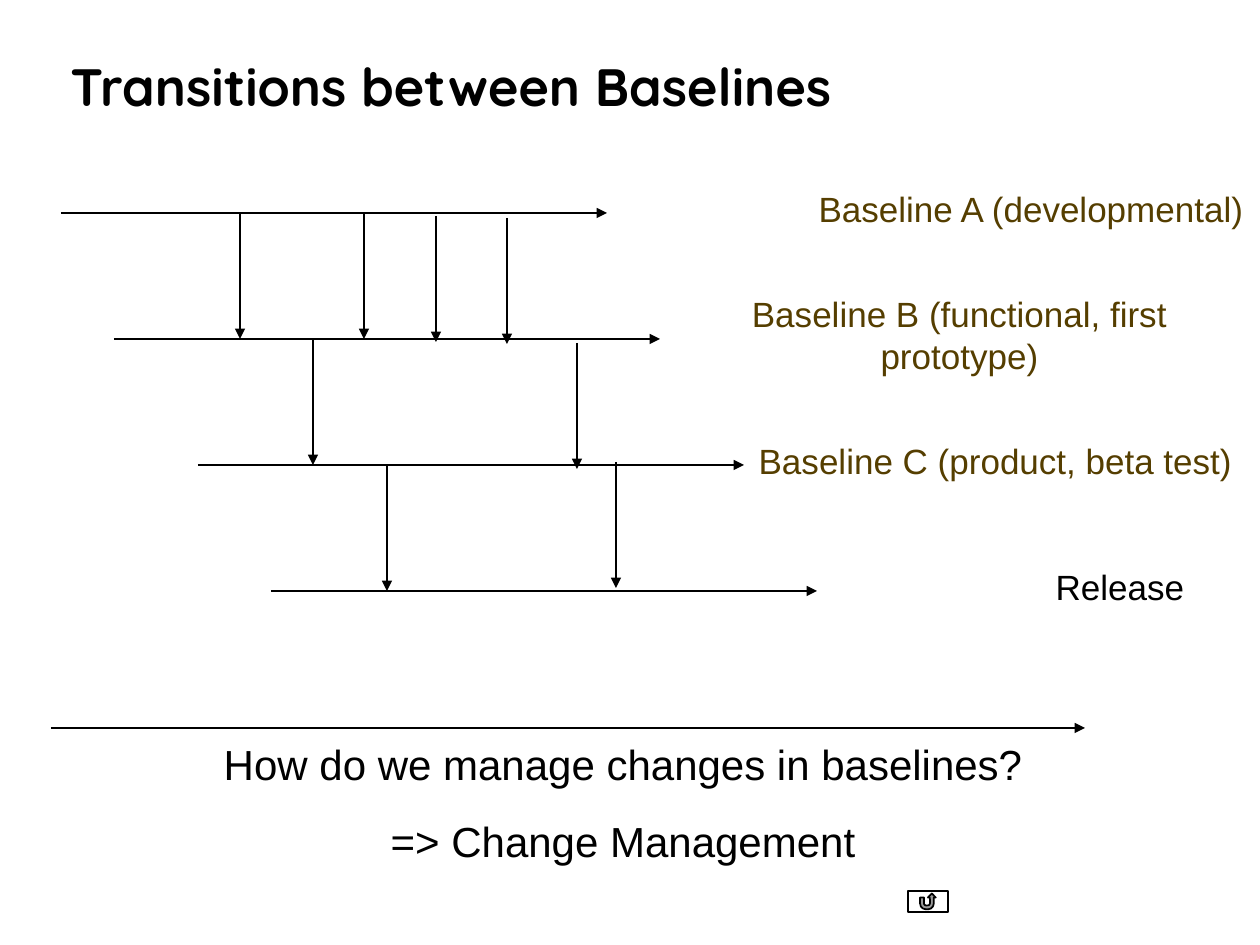
from dataclasses import dataclass

from lxml.etree import SubElement
from pptx import Presentation
from pptx.dml.color import RGBColor
from pptx.enum.shapes import MSO_CONNECTOR, MSO_SHAPE
from pptx.enum.text import MSO_ANCHOR, PP_ALIGN
from pptx.oxml.ns import qn
from pptx.slide import Slide
from pptx.util import Emu, Pt

BLACK = RGBColor(0x00, 0x00, 0x00)
WHITE = RGBColor(0xFF, 0xFF, 0xFF)
BROWN = RGBColor(0x55, 0x3E, 0x00)

PX_PER_INCH = 126
STEP = 126            # distance from one baseline to the next
FIRST_Y = 213         # height of the first baseline
BASELINE_LENGTH = 546
LABEL_HEIGHT = 55
LABEL_RISE = 32       # label top above its baseline


def px(length):
    return Emu(round(length * 914400 / PX_PER_INCH))


def write(frame, text, *, font="Arial", size=20, color=BLACK, bold=False,
          align=PP_ALIGN.CENTER, gap=0, spacing=None):
    """Fill a text frame, one paragraph for each line of text."""
    for number, line in enumerate(text.split("\n")):
        paragraph = frame.add_paragraph() if number else frame.paragraphs[0]
        paragraph.alignment = align
        if number:
            paragraph.space_before = Pt(gap)
        if spacing:
            paragraph.line_spacing = spacing
        run = paragraph.add_run()
        run.text = line
        run.font.name = font
        run.font.size = Pt(size)
        run.font.bold = bold
        run.font.color.rgb = color


@dataclass
class Diagram:
    slide: Slide
    line_color: RGBColor = BLACK
    line_width: int = 1

    def text(self, left, top, width, height, text, wrap=True, **style):
        box = self.slide.shapes.add_textbox(*map(px, (left, top, width, height)))
        frame = box.text_frame
        frame.word_wrap = wrap
        frame.vertical_anchor = MSO_ANCHOR.MIDDLE
        write(frame, text, **style)

    def arrow(self, left, top, right=0, down=0):
        arrow = self.slide.shapes.add_connector(
            MSO_CONNECTOR.STRAIGHT,
            px(left), px(top), px(left + right), px(top + down))
        arrow.line.color.rgb = self.line_color
        arrow.line.width = Pt(self.line_width)
        properties = arrow.line._get_or_add_ln()
        SubElement(properties, qn("a:tailEnd"), type="triangle")
        SubElement(properties.getparent(), qn("a:effectLst"))

    def return_button(self, left, top, width, height):
        button = self.slide.shapes.add_shape(
            MSO_SHAPE.ACTION_BUTTON_RETURN, *map(px, (left, top, width, height)))
        button.shadow.inherit = False
        button.fill.solid()
        button.fill.fore_color.rgb = WHITE
        button.line.color.rgb = self.line_color
        button.line.width = Pt(self.line_width)


def main():
    presentation = Presentation()
    presentation.slide_width = px(1260)
    presentation.slide_height = px(945)
    diagram = Diagram(presentation.slides.add_slide(presentation.slide_layouts[6]))

    diagram.return_button(908, 891, 40, 21)

    # Title
    diagram.text(58, 30, 1124, 118, "Transitions between Baselines",
                 font="Quicksand", size=30, bold=True,
                 align=PP_ALIGN.LEFT, spacing=0.9)

    # Baselines: arrow start, label left, label width, label, colour
    baselines = [
        (61, 804, 454, "Baseline A (developmental)", BROWN),
        (114, 656, 607, "Baseline B (functional, first prototype)", BROWN),
        (198, 746, 499, "Baseline C (product, beta test)", BROWN),
        (271, 1038, 164, "Release", BLACK),
    ]
    for level, (start, left, width, label, color) in enumerate(baselines):
        y = FIRST_Y + level * STEP
        diagram.arrow(start, y, right=BASELINE_LENGTH)
        diagram.text(left, y - LABEL_RISE, width, LABEL_HEIGHT, label,
                     wrap=False, color=color)

    # Transitions from each baseline to the next: x and offset below the line
    transitions = [
        [(240, 0), (364, 0), (436, 3), (507, 5)],
        [(313, 0), (577, 4)],
        [(387, 0), (616, -3)],
    ]
    for level, drops in enumerate(transitions):
        for x, offset in drops:
            diagram.arrow(x, FIRST_Y + level * STEP + offset, down=STEP)

    # Time axis and closing question
    diagram.arrow(51, 728, right=1034)
    diagram.text(197, 732, 852, 140,
                 "How do we manage changes in baselines?\n=> Change Management",
                 size=24, gap=15)

    presentation.save("out.pptx")


if __name__ == "__main__":
    main()
